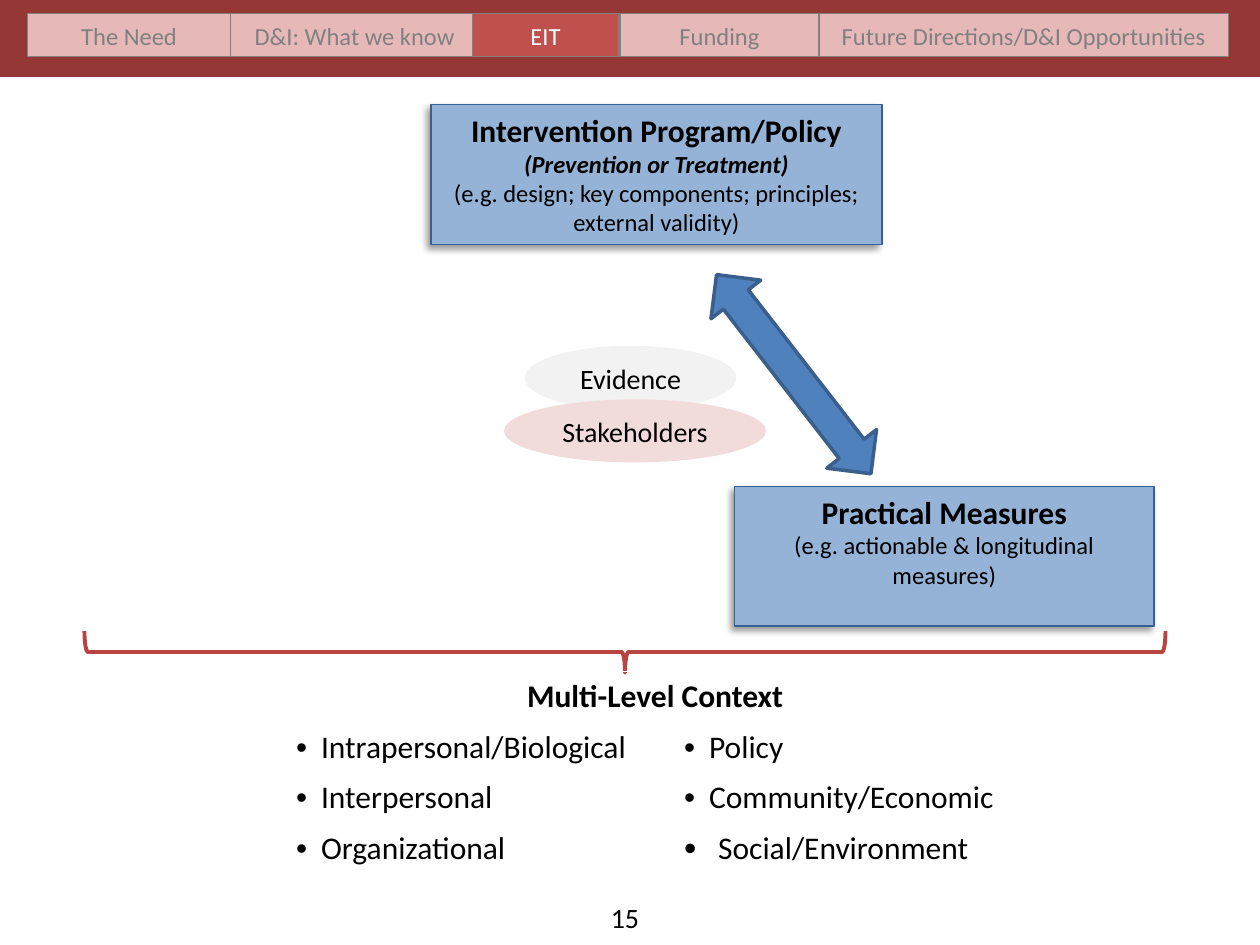
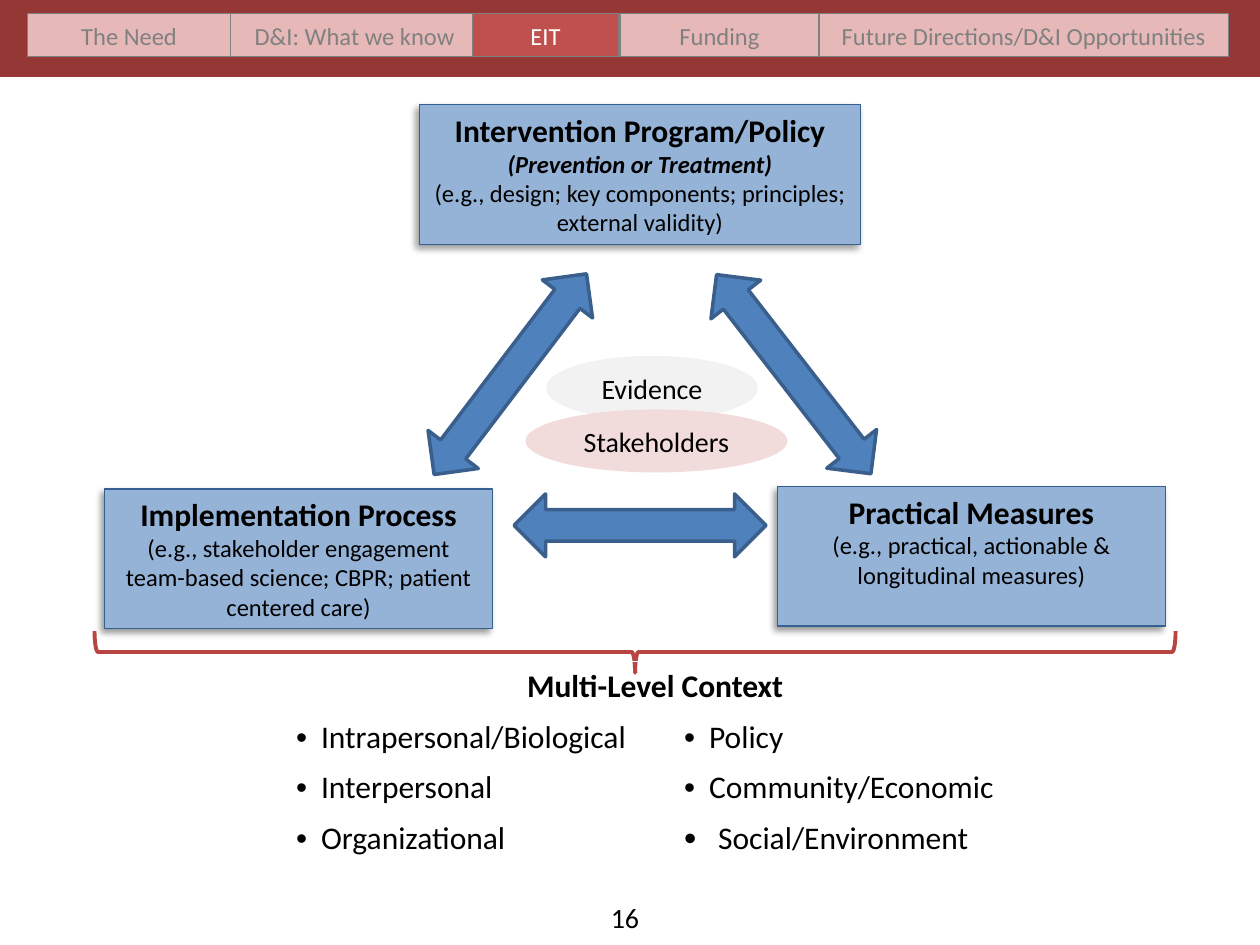
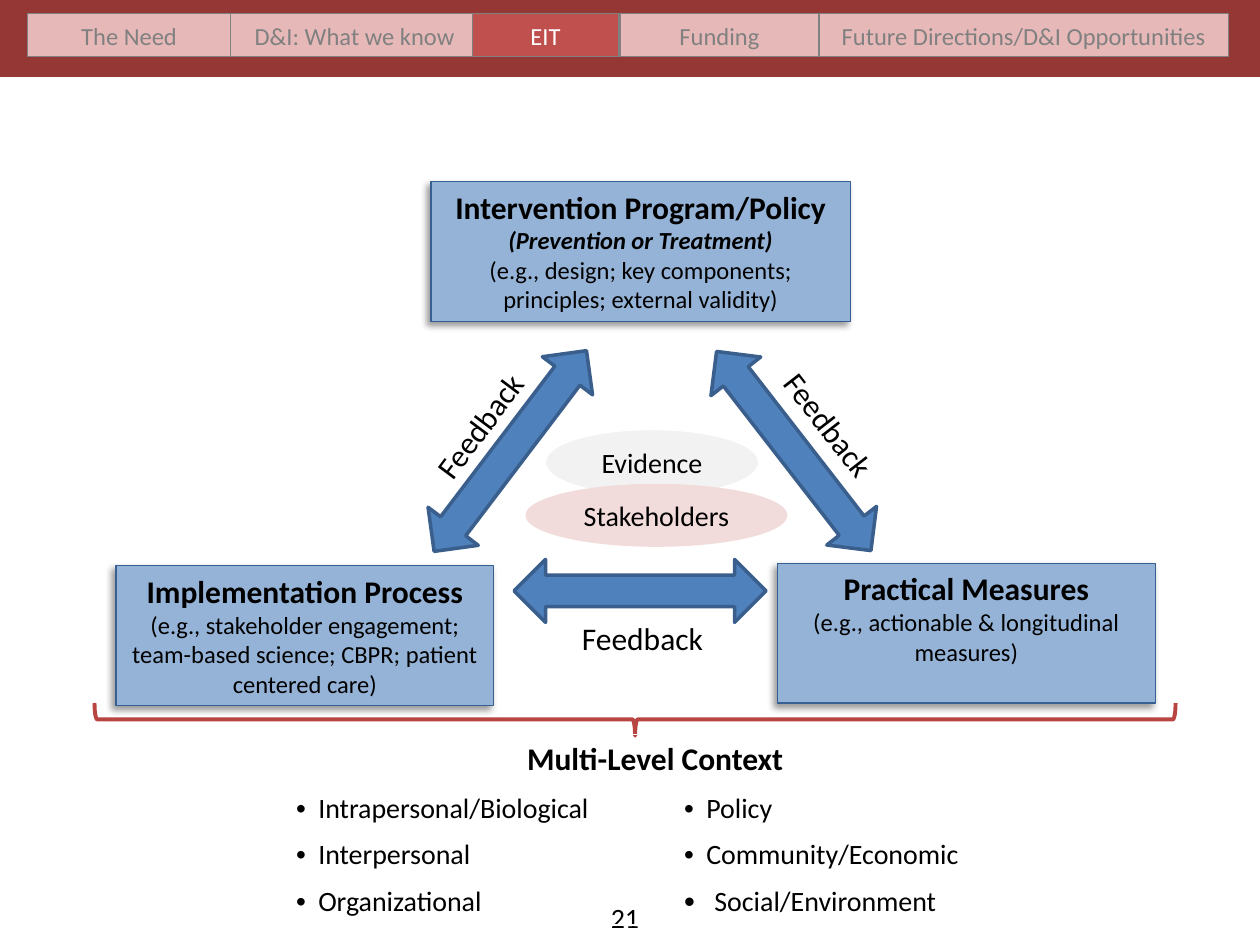
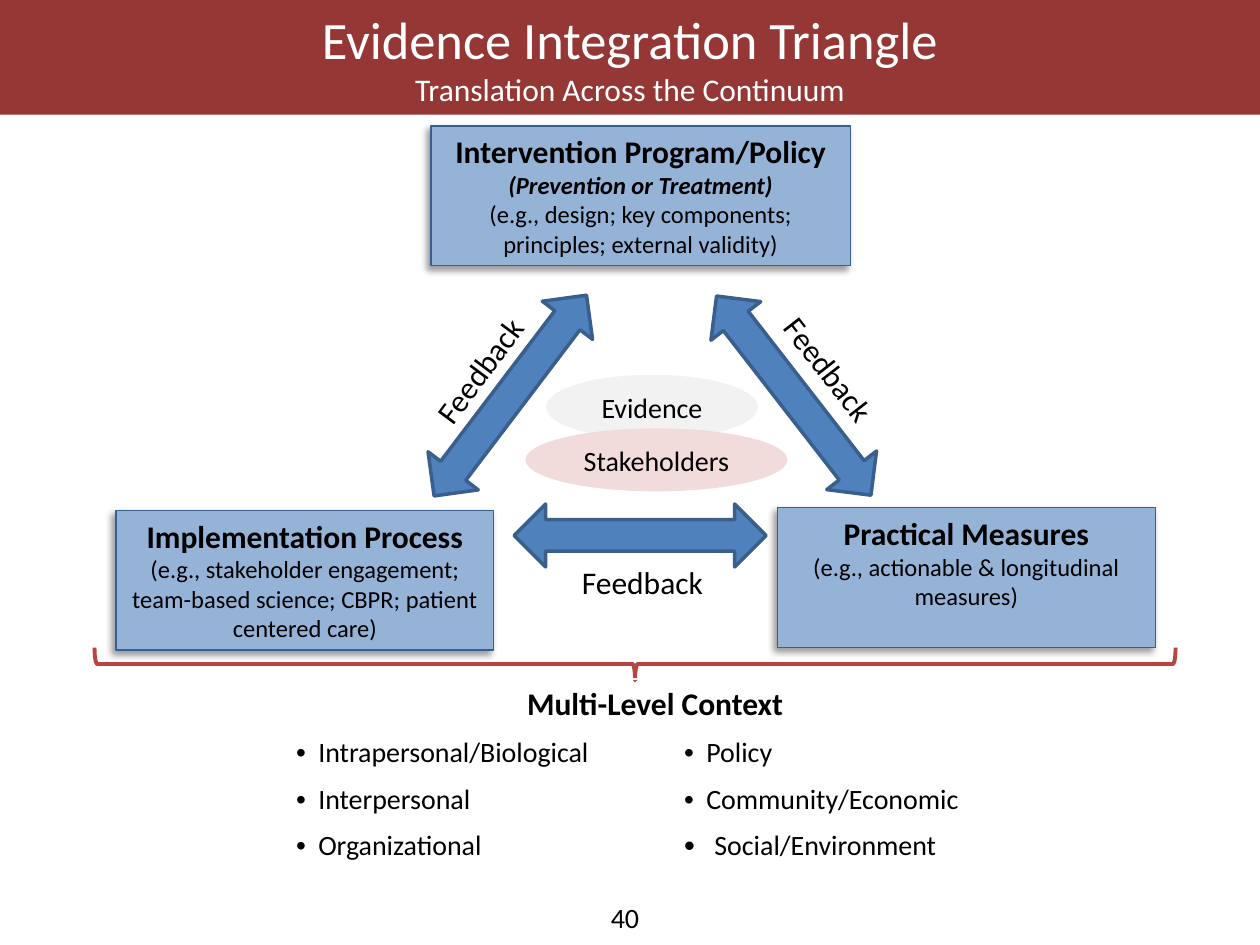
from lxml import etree
from pptx import Presentation
from pptx.dml.color import RGBColor
from pptx.enum.shapes import MSO_SHAPE
from pptx.enum.text import MSO_ANCHOR, MSO_AUTO_SIZE, PP_ALIGN
from pptx.oxml.ns import qn
from pptx.util import Inches, Pt

FONT = "Calibri"
COLORS = {
    "band": "953735", "tab": "E6B9B8", "active": "C0504D", "gray": "808080",
    "box": "95B3D7", "box_line": "376092", "arrow": "4F81BD",
    "arrow_line": "3A5F8C", "brace": "B84542", "evidence": "F2F2F2",
    "stakeholders": "F2DCDB", "black": "000000", "white": "FFFFFF",
}

TABS = [  # text, left, width
    ("The Need", 0.22, 1.61),
    ("D&I: What we know", 1.83, 1.97),
    ("EIT", 3.75, 1.16),
    ("Future Directions/D&I Opportunities", 6.5, 3.25),
    ("Funding", 4.92, 1.58),
]
ACTIVE_TAB = "EIT"
TITLE = ("Evidence Integration Triangle", "Translation Across the Continuum")
CONTEXT_HEAD = "Multi-Level Context"
CONTEXT = [
    ("Intrapersonal/Biological", "Policy"),
    ("Interpersonal", "Community/Economic"),
    ("Organizational", "Social/Environment"),
]
DESIGN = "(e.g., design; key components; principles; external validity)"
ENGAGEMENT = ("(e.g., stakeholder engagement; team-based science; CBPR; "
              "patient centered care)")
MEASURES = "(e.g., actionable & longitudinal measures)"

# Vertical positions below are measured from the top of the upper box.
# A box is (left, width, example text); a brace is (center, offset, depth).
FULL = {
    "program": (3.42, 3.33, DESIGN),
    "process": (0.92, 3, ENGAGEMENT),
    "measures": (6.17, 3, MEASURES),
    "bottom_arrow": 2.25, "ellipses": (4.17, 1.98),
    "brace": (5.04, 4.14, 0.26), "table": 4.39, "item_size": 16,
    "feedback": True,
}
SLIDES = [
    {"number": 15, "top": 0.83,
     "program": (3.42, 3.58, "(e.g. design; key components; principles; "
                             "external validity)"),
     "measures": (5.83, 3.33, "(e.g. actionable & longitudinal measures)"),
     "ellipses": (4, 1.92), "brace": (4.96, 4.18, 0.33),
     "table": 4.5, "item_size": 18},
    {"number": 16, "top": 0.83,
     "program": (3.33, 3.5, DESIGN),
     "process": (0.83, 3.08, "(e.g., stakeholder engagement team-based "
                             "science; CBPR; patient centered care)"),
     "measures": (6.17, 3.08, "(e.g., practical, actionable & longitudinal "
                              "measures)"),
     "bottom_arrow": 2.34, "ellipses": (4.17, 2), "brace": (5.04, 4.18, 0.33),
     "table": 4.42, "item_size": 18},
    {"number": 21, "top": 1.44, **FULL},
    {"number": 40, "top": 1, "title": TITLE, **FULL},
]
FEEDBACK = [(3.2, 1.67, 306.8), (5.96, 1.79, 52.2), (4.52, 3.42, 0)]


def rgb(name):
    return RGBColor.from_string(COLORS[name])


def add_run(p, content, size, color="black", bold=False, italic=False):
    r = p.add_run()
    r.text = content
    f = r.font
    f.name, f.size, f.bold, f.italic = FONT, Pt(size), bold, italic
    f.color.rgb = rgb(color)


def add_shape(s, kind, left, top, width, height, fill=None, line=None,
              weight=0.75, rotation=0):
    sp = s.shapes.add_shape(kind, Inches(left), Inches(top), Inches(width),
                            Inches(height))
    sp.shadow.inherit = False
    sp.rotation = rotation
    if fill:
        sp.fill.solid()
        sp.fill.fore_color.rgb = rgb(fill)
    else:
        sp.fill.background()
    if line:
        sp.line.color.rgb = rgb(line)
        sp.line.width = Pt(weight)
    else:
        sp.line.fill.background()
    return sp


def add_label(sp, content, size, color="black"):
    p = sp.text_frame.paragraphs[0]
    p.alignment = PP_ALIGN.CENTER
    add_run(p, content, size, color)


def add_text(s, content, size, left, top, width, height, rotation=0):
    tb = s.shapes.add_textbox(Inches(left), Inches(top), Inches(width),
                              Inches(height))
    tb.rotation = rotation
    tb.text_frame.word_wrap = True
    add_run(tb.text_frame.paragraphs[0], content, size)


def add_shadow(sp):
    effects = sp._element.spPr.find(qn("a:effectLst"))
    outer = etree.SubElement(effects, qn("a:outerShdw"), blurRad="50800",
                             dist="38100", dir="8100000", algn="tr",
                             rotWithShape="0")
    color = etree.SubElement(outer, qn("a:srgbClr"), val=COLORS["black"])
    etree.SubElement(color, qn("a:alpha"), val="40000")


def add_box(s, top, heading, box, subheading=None):
    left, width, example = box
    sp = add_shape(s, MSO_SHAPE.RECTANGLE, left, top, width, 1.11, "box",
                   "box_line")
    add_shadow(sp)
    tf = sp.text_frame
    tf.vertical_anchor = MSO_ANCHOR.TOP
    p = tf.paragraphs[0]
    p.alignment = PP_ALIGN.CENTER
    add_run(p, heading, 18, bold=True)
    if subheading:
        p.add_line_break()
        add_run(p, subheading, 14, bold=True, italic=True)
    p = tf.add_paragraph()
    p.alignment = PP_ALIGN.CENTER
    add_run(p, example, 14)


def add_arrow(s, left, top, rotation):
    add_shape(s, MSO_SHAPE.UP_DOWN_ARROW, left, top, 0.5, 2, "arrow",
              "arrow_line", 2, rotation)


def add_brace(s, top, center, offset, depth, length=8.58):
    """Place a right brace turned to point down, spanning the diagram."""
    middle = top + offset + depth / 2
    add_shape(s, MSO_SHAPE.RIGHT_BRACE, center - depth / 2,
              middle - length / 2, depth, length, line="brace", weight=2.25,
              rotation=90)


def add_bullet(p, indent, percent=None):
    pPr = p._p.get_or_add_pPr()
    pPr.set("marL", str(Inches(indent)))
    pPr.set("indent", str(-Inches(indent)))
    if percent:
        etree.SubElement(pPr, qn("a:buSzPct"), val=str(percent * 1000))
    etree.SubElement(pPr, qn("a:buFont"), typeface="Arial")
    etree.SubElement(pPr, qn("a:buChar"), char="•")


def add_context(s, top, size):
    row_height = 0.4 if size == 18 else 0.37
    table = s.shapes.add_table(len(CONTEXT) + 1, 2, Inches(2.25), Inches(top),
                               Inches(5.9), Inches(1.5)).table
    table.first_row = table.horz_banding = False
    for column, width in zip(table.columns, (3.08, 2.82)):
        column.width = Inches(width)
    for i, row in enumerate(table.rows):
        row.height = Inches(row_height if i else 0.4)
        for cell in row.cells:
            cell.fill.background()
    table.cell(0, 0).merge(table.cell(0, 1))
    p = table.cell(0, 0).text_frame.paragraphs[0]
    p.alignment = PP_ALIGN.CENTER
    add_run(p, CONTEXT_HEAD, 18, bold=True)
    for i, items in enumerate(CONTEXT, 1):
        for j, item in enumerate(items):
            p = table.cell(i, j).text_frame.paragraphs[0]
            if item == "Social/Environment":
                add_bullet(p, 0.015 * size, 111)
            else:
                add_bullet(p, 0.011 * size)
            add_run(p, item, size)


def add_ellipses(s, left, top):
    sp = add_shape(s, MSO_SHAPE.OVAL, left + 0.17, top, 1.67, 0.5,
                   "evidence", "evidence")
    add_label(sp, "Evidence", 16)
    sp = add_shape(s, MSO_SHAPE.OVAL, left, top + 0.42, 2.08, 0.5,
                   "stakeholders")
    add_label(sp, "Stakeholders", 16)


def add_navigation(s):
    add_shape(s, MSO_SHAPE.RECTANGLE, 0, 0, 10, 0.61, "band")
    for name, left, width in TABS:
        active = name == ACTIVE_TAB
        sp = add_shape(s, MSO_SHAPE.RECTANGLE, left, 0.11, width, 0.34,
                       "active" if active else "tab", "gray")
        add_label(sp, name, 14, "white" if active else "gray")


def format_title(title, lines):
    title.left, title.top = Inches(0), Inches(0)
    title.width, title.height = Inches(10), Inches(0.91)
    title.fill.solid()
    title.fill.fore_color.rgb = rgb("band")
    tf = title.text_frame
    tf.auto_size = MSO_AUTO_SIZE.NONE
    tf.vertical_anchor = MSO_ANCHOR.MIDDLE
    for i, (line, size) in enumerate(zip(lines, (30, 18))):
        p = tf.add_paragraph() if i else tf.paragraphs[0]
        p.alignment = PP_ALIGN.CENTER
        add_run(p, line, size, "white")


def build_slide(prs, data):
    top = data["top"]
    s = prs.slides.add_slide(prs.slide_layouts[5 if "title" in data else 6])
    if "title" in data:
        format_title(s.shapes.title, data["title"])

    if "process" in data:
        add_arrow(s, 3.8, top + 1.14, 37.2)
        add_arrow(s, 4.83, top + data["bottom_arrow"], 90)
    add_arrow(s, 6.05, top + 1.14, 322.2)

    if "process" in data:
        add_box(s, top + 3.05, "Implementation Process", data["process"])
    add_box(s, top + 3.03, "Practical Measures", data["measures"])
    add_box(s, top, "Intervention Program/Policy", data["program"],
            "(Prevention or Treatment)")

    add_text(s, str(data["number"]), 16, 4.75, 7.1, 0.5, 0.4)
    add_brace(s, top, *data["brace"])
    add_context(s, top + data["table"], data["item_size"])
    if data.get("feedback"):
        for left, offset, rotation in FEEDBACK:
            add_text(s, "Feedback", 18, left, top + offset, 1.32, 0.42,
                     rotation)
    left, offset = data["ellipses"]
    add_ellipses(s, left, top + offset)
    if "title" not in data:
        add_navigation(s)


def main():
    prs = Presentation()
    prs.slide_width, prs.slide_height = Inches(10), Inches(7.5)
    for data in SLIDES:
        build_slide(prs, data)
    prs.save("out.pptx")


if __name__ == "__main__":
    main()
